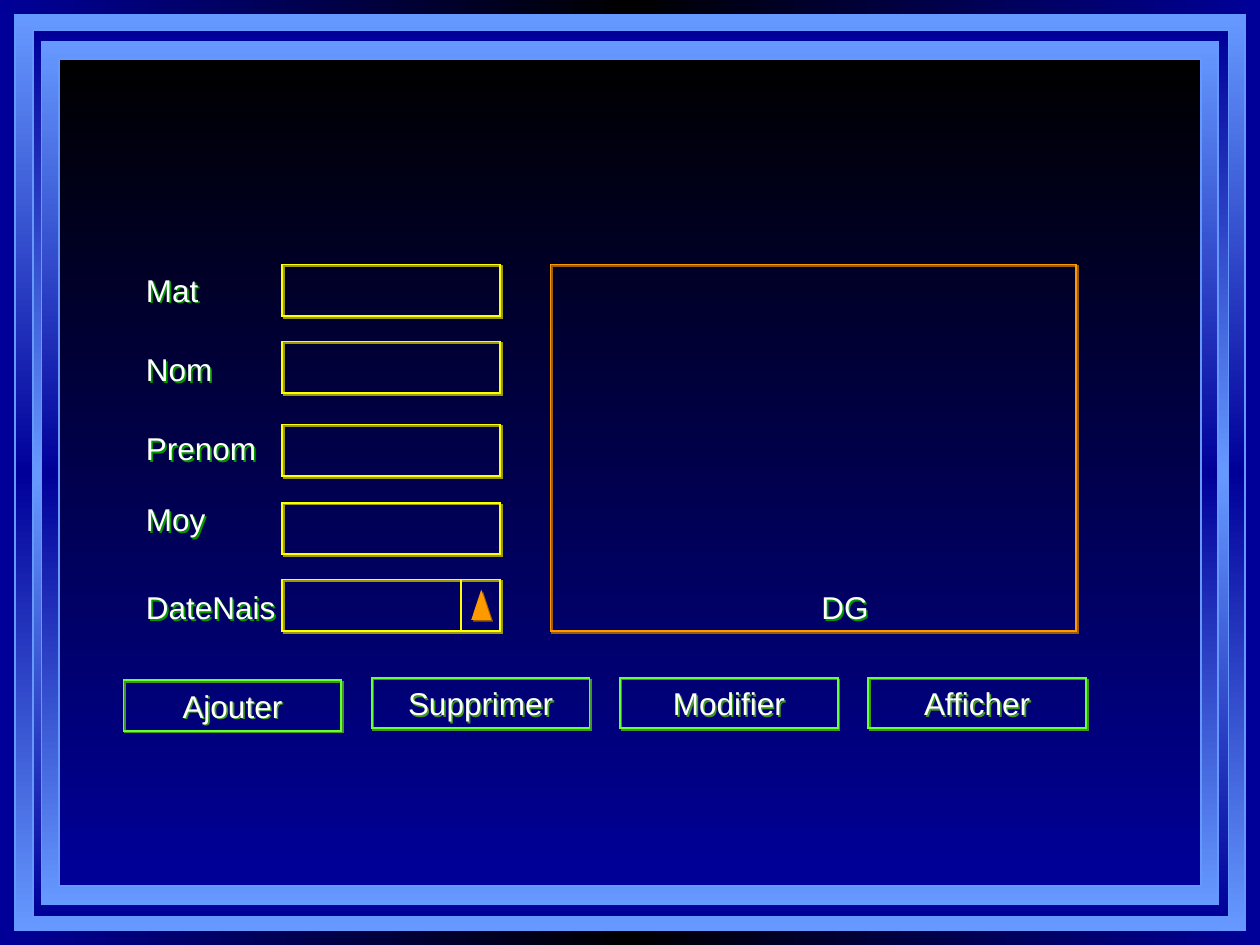
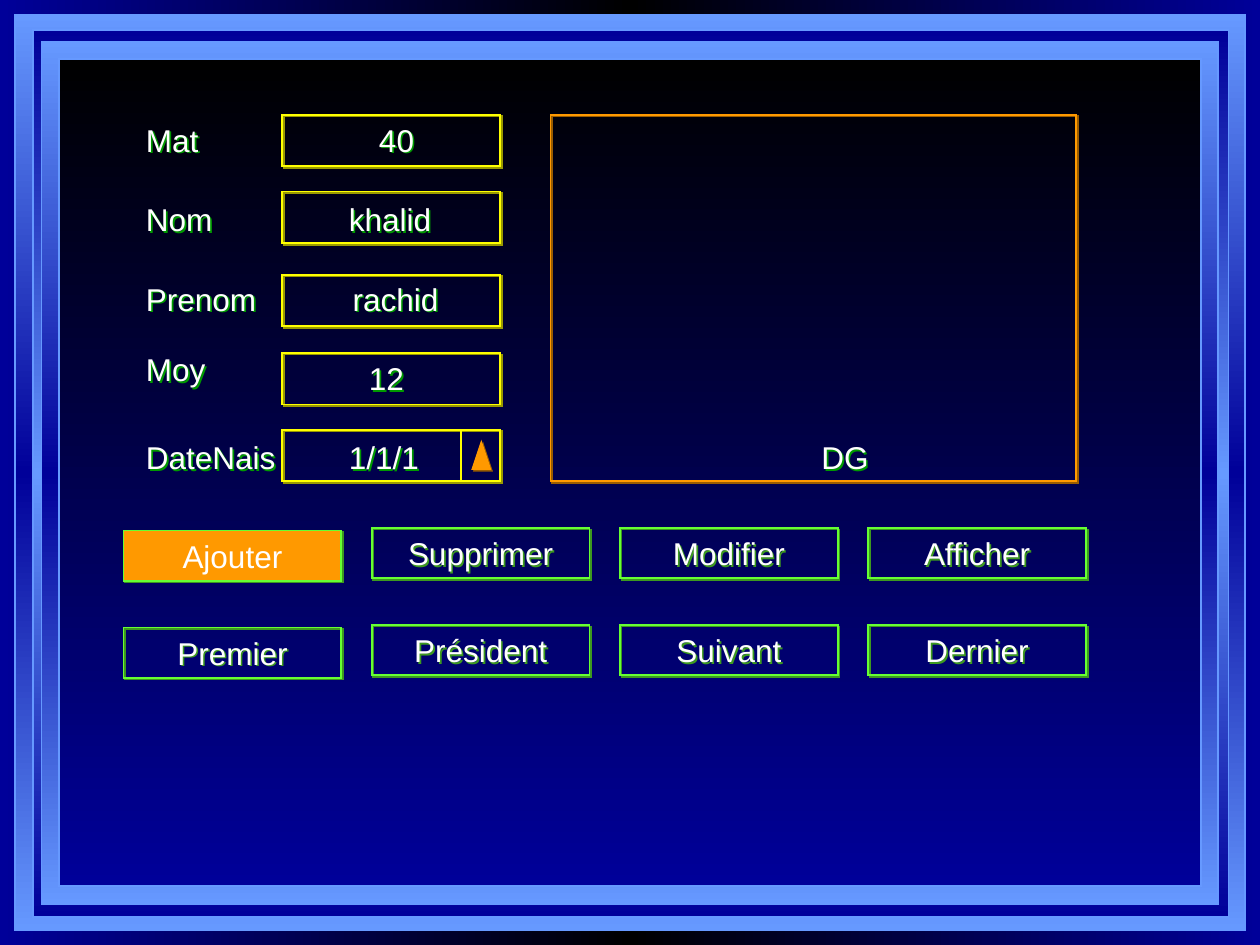
import lxml.etree
import pptx
import pptx.dml.color
import pptx.enum.shapes
import pptx.enum.text
import pptx.oxml.ns
import pptx.util

Inches = pptx.util.Inches
RGBColor = pptx.dml.color.RGBColor
Shape = pptx.enum.shapes.MSO_SHAPE
Align = pptx.enum.text.PP_ALIGN
qn = pptx.oxml.ns.qn

BLACK = RGBColor(0x00, 0x00, 0x00)
WHITE = RGBColor(0xFF, 0xFF, 0xFF)
NAVY = RGBColor(0x00, 0x00, 0x99)
SKY = RGBColor(0x66, 0x99, 0xFF)
YELLOW = RGBColor(0xFF, 0xFF, 0x00)
OLIVE = RGBColor(0x99, 0x99, 0x00)
ORANGE = RGBColor(0xFF, 0x99, 0x00)
BROWN = RGBColor(0x99, 0x5C, 0x00)
LIME = RGBColor(0x66, 0xFF, 0x33)
MOSS = RGBColor(0x3D, 0x99, 0x1F)
GREEN = RGBColor(0x00, 0x99, 0x00)

FRAMES = [
    ((0.12, 0.12, 9.76, 7.26), (SKY, NAVY, SKY)),
    ((0.26, 0.24, 9.49, 7.04), (NAVY, SKY, NAVY)),
    ((0.33, 0.33, 9.34, 6.85), (SKY, NAVY, SKY)),
    ((0.47, 0.47, 9.06, 6.56), (BLACK, NAVY)),
]
FIELDS = [
    ("Mat", 0, 0),
    ("Nom", 0.63, 0.61),
    ("Prenom", 1.26, 1.27),
    ("Moy", 1.82, 1.89),
    ("DateNais", 2.52, 2.5),
]
ACTIONS = ["Ajouter", "Supprimer", "Modifier", "Afficher"]
NAVIGATION = ["Premier", "Président", "Suivant", "Dernier"]
FORMS = [
    {"top": 2.1, "button_rows": [ACTIONS], "selected": None, "values": []},
    {
        "top": 0.91,
        "button_rows": [ACTIONS, NAVIGATION],
        "selected": "Ajouter",
        "values": [
            ("40", 2.91, 0.5),
            ("khalid", 2.67, 0.9),
            ("rachid", 2.7, 0.9),
            ("12", 2.83, 0.5),
            ("1/1/1", 2.67, 0.85),
        ],
    },
]

LABEL_LEFT, LABEL_WIDTH, TEXT_HEIGHT = 1.06, 1.42, 0.4
FIELD_LEFT, FIELD_WIDTH, FIELD_HEIGHT = 2.24, 1.73, 0.41
BUTTON_LEFT, BUTTON_STEP = 0.98, 1.97
BUTTON_DROP, BUTTON_ROW_STEP, FIRST_BUTTON_DROP = 3.28, 0.77, 0.02
VALUE_STEP = 0.63


def set_gradient(fill, element, colors, angle):
    fill.gradient()
    fill.gradient_angle = -angle % 360
    stops = next(element.iter(qn("a:gsLst")))
    for stop in list(stops):
        stops.remove(stop)
    for index, color in enumerate(colors):
        position = str(100000 * index // (len(colors) - 1))
        stop = lxml.etree.SubElement(stops, qn("a:gs"), pos=position)
        lxml.etree.SubElement(stop, qn("a:srgbClr"), val=str(color))


def set_shadow(shape, color):
    shape.shadow.inherit = False
    effects = next(shape.element.iter(qn("a:effectLst")))
    distance = str(int(pptx.util.Pt(1.4)))
    shadow = lxml.etree.SubElement(effects, qn("a:outerShdw"), dist=distance, dir="2700000", algn="ctr")
    lxml.etree.SubElement(shadow, qn("a:srgbClr"), val=str(color))


def set_line(shape, color):
    shape.line.color.rgb = color
    shape.line.width = pptx.util.Pt(1)
    outline = next(shape.element.iter(qn("a:ln")))
    lxml.etree.SubElement(outline, qn("a:miter"), lim="800000")


def write(shape, text, align=Align.LEFT, wrap=True):
    frame_format = {
        "text": text,
        "word_wrap": wrap,
        "auto_size": pptx.enum.text.MSO_AUTO_SIZE.SHAPE_TO_FIT_TEXT,
        "vertical_anchor": pptx.enum.text.MSO_ANCHOR.TOP,
    }
    for name, value in frame_format.items():
        setattr(shape.text_frame, name, value)
    paragraph = shape.text_frame.paragraphs[0]
    paragraph.alignment = align
    for name, value in {"name": "Arial", "size": pptx.util.Pt(18)}.items():
        setattr(paragraph.font, name, value)
    paragraph.font.color.rgb = WHITE


def add_text(slide, text, left, top, width, wrap=True):
    box = slide.shapes.add_textbox(*map(Inches, (left, top, width, TEXT_HEIGHT)))
    write(box, text, wrap=wrap)
    set_shadow(box, GREEN)


def add_box(shapes, bounds, line=None, shadow=None, fill=None, kind=Shape.RECTANGLE):
    box = shapes.add_shape(kind, *map(Inches, bounds))
    if fill is None:
        box.fill.background()
    else:
        box.fill.solid()
        box.fill.fore_color.rgb = fill
    if line is None:
        box.line.fill.background()
    else:
        set_line(box, line)
    if shadow is None:
        box.shadow.inherit = False
    else:
        set_shadow(box, shadow)
    return box


def add_date_picker(slide, top):
    shapes = slide.shapes.add_group_shape().shapes
    add_box(shapes, (FIELD_LEFT, top, FIELD_WIDTH, FIELD_HEIGHT), YELLOW, OLIVE)
    divider = shapes.add_connector(
        pptx.enum.shapes.MSO_CONNECTOR.STRAIGHT, *map(Inches, (3.66, top, 3.66, top + 0.4))
    )
    set_line(divider, YELLOW)
    lxml.etree.SubElement(divider.element.spPr, qn("a:effectLst"))
    add_box(shapes, (3.74, top + 0.08, 0.16, 0.24), None, BROWN, ORANGE, Shape.ISOSCELES_TRIANGLE)


def add_buttons(slide, labels, top, selected):
    for column, label in enumerate(labels):
        button_top = top + (FIRST_BUTTON_DROP if column == 0 else 0)
        bounds = (BUTTON_LEFT + column * BUTTON_STEP, button_top, FIELD_WIDTH, TEXT_HEIGHT)
        fill = ORANGE if label == selected else None
        write(add_box(slide.shapes, bounds, LIME, MOSS, fill), label, Align.CENTER)


def build_master(presentation, slide):
    master = presentation.slide_master
    set_gradient(master.background.fill, master.element, (NAVY, BLACK, NAVY), 0)
    tree = master.element.cSld.spTree
    for placeholder in list(master.placeholders):
        tree.remove(placeholder.element)
    for bounds, colors in FRAMES:
        frame = add_box(slide.shapes, bounds, SKY)
        set_gradient(frame.fill, frame.element, colors, 90)
        tree.append(frame.element)


def build_form(slide, form):
    top = form["top"]
    for label, label_drop, field_drop in FIELDS:
        add_text(slide, label, LABEL_LEFT, top + label_drop, LABEL_WIDTH)
        if label == "DateNais":
            add_date_picker(slide, top + field_drop)
        else:
            add_box(slide.shapes, (FIELD_LEFT, top + field_drop, FIELD_WIDTH, FIELD_HEIGHT), YELLOW, OLIVE)
    add_box(slide.shapes, (4.37, top, 4.17, 2.91), ORANGE, BROWN)
    add_text(slide, "DG", 6.42, top + FIELDS[-1][1], LABEL_WIDTH)
    for row, labels in enumerate(form["button_rows"]):
        add_buttons(slide, labels, top + BUTTON_DROP + row * BUTTON_ROW_STEP, form["selected"])
    for row, (text, left, width) in enumerate(form["values"]):
        add_text(slide, text, left, top + row * VALUE_STEP, width, wrap=False)


def main():
    presentation = pptx.Presentation()
    presentation.slide_width, presentation.slide_height = Inches(10), Inches(7.5)
    blank = presentation.slide_layouts[6]
    slides = [presentation.slides.add_slide(blank) for form in FORMS]
    build_master(presentation, slides[0])
    for slide, form in zip(slides, FORMS):
        build_form(slide, form)
    presentation.save("out.pptx")


if __name__ == "__main__":
    main()
